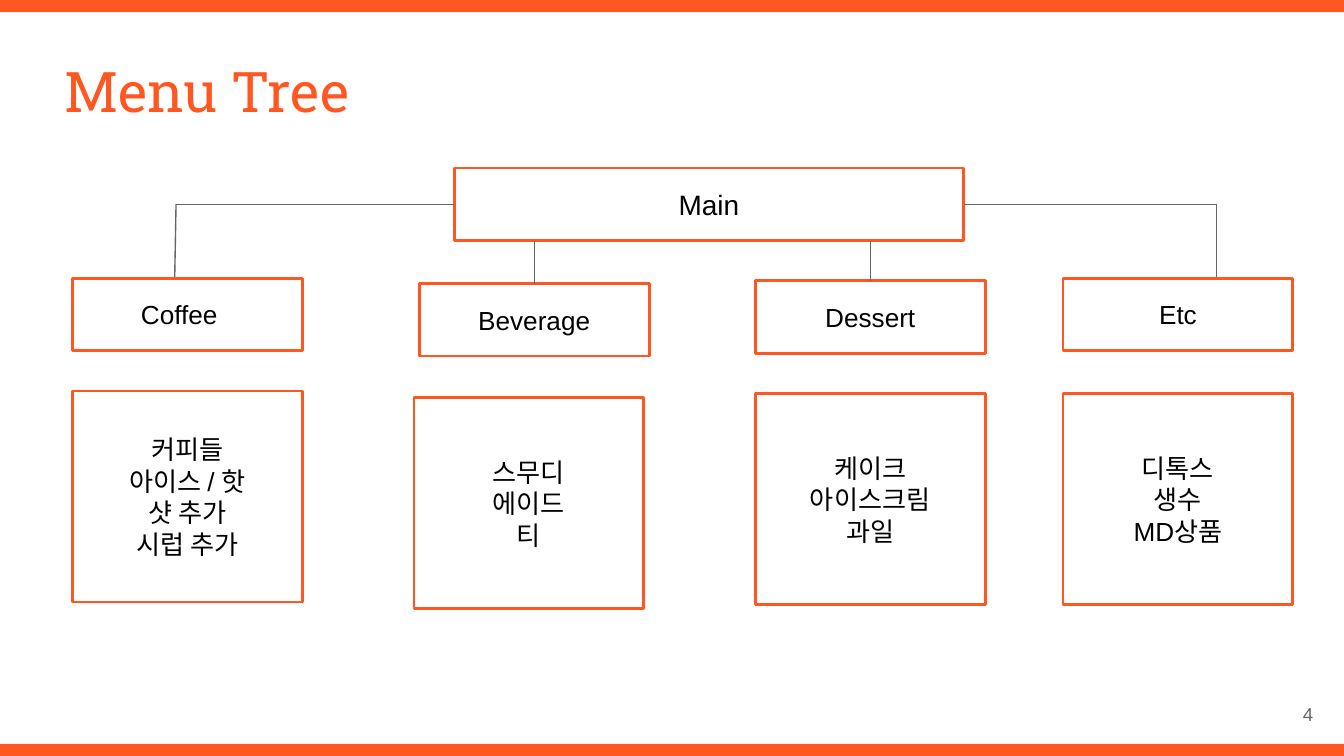
from lxml.etree import SubElement
from pptx import Presentation
from pptx.dml.color import RGBColor
from pptx.enum.shapes import MSO_CONNECTOR, MSO_SHAPE
from pptx.enum.text import MSO_ANCHOR, MSO_AUTO_SIZE, PP_ALIGN
from pptx.oxml.ns import qn
from pptx.util import Inches, Pt

COLORS = {name: RGBColor.from_string(value) for name, value in {
    "accent": "FF5722", "text": "000000", "muted": "666666"}.items()}


def write(shape, lines, size, color, align, anchor=MSO_ANCHOR.MIDDLE, font="Arial"):
    frame = shape.text_frame
    frame.word_wrap = True
    frame.auto_size = MSO_AUTO_SIZE.NONE
    frame.vertical_anchor = anchor
    frame.margin_left = frame.margin_right = Inches(0.1)
    frame.margin_top = frame.margin_bottom = Inches(0.1)
    frame.text = "\n".join(lines)
    for paragraph in frame.paragraphs:
        paragraph.alignment = align
        paragraph.font.name = font
        paragraph.font.size = Pt(size)
        paragraph.font.color.rgb = COLORS[color]


def add_box(left, top, width, height, lines, size=14):
    box = slide.shapes.add_shape(
        MSO_SHAPE.ROUNDED_RECTANGLE,
        Inches(left), Inches(top), Inches(width), Inches(height))
    box.adjustments[0] = 0
    box.shadow.inherit = False
    box.fill.background()
    box.line.color.rgb = COLORS["accent"]
    box.line.width = Pt(1.5)
    write(box, lines, size, "text", PP_ALIGN.CENTER)
    return box


# A 16:9 page
deck = Presentation()
deck.slide_width = Inches(10)
deck.slide_height = deck.slide_width * 9 // 16
slide = deck.slides.add_slide(deck.slide_layouts[5])

# Title
title = slide.shapes.title
title.left, title.top = Inches(0.38), Inches(0.32)
title.width, title.height = Inches(9.32), Inches(0.63)
write(title, ["Menu Tree"], 30, "accent", PP_ALIGN.LEFT, MSO_ANCHOR.TOP, "Roboto Slab")

# Menu boxes: category, its left and top, then the item list's left and top
main_box = add_box(3.38, 1.25, 3.79, 0.54, ["Main"], 15)
menu = [
    ("Coffee", 0.54, 2.07, 0.54, 2.91, ["커피들", "아이스 / 핫", "샷 추가", "시럽 추가"]),
    ("Beverage", 3.12, 2.11, 3.08, 2.96, ["스무디", "에이드", "티"]),
    ("Dessert", 5.62, 2.09, 5.62, 2.93, ["케이크", "아이스크림", "과일"]),
    ("Etc", 7.91, 2.07, 7.91, 2.93, ["디톡스", "생수", "MD상품"]),
]
categories = {}
for name, left, top, items_left, items_top, items in menu:
    categories[name] = add_box(left, top, 1.71, 0.54, [name])
    add_box(items_left, items_top, 1.71, 1.57, items)
categories["Coffee"].text_frame.margin_right = Inches(0.22)

# Bars along the top and bottom edges
bar_height = Inches(0.09)
for top in (0, deck.slide_height - bar_height):
    bar = slide.shapes.add_shape(
        MSO_SHAPE.RECTANGLE, 0, top, deck.slide_width, bar_height)
    bar.shadow.inherit = False
    bar.fill.solid()
    bar.fill.fore_color.rgb = COLORS["accent"]
    bar.line.fill.background()

# Tree lines: start, end, and the (box, side) joined at each end
beverage, dessert = categories["Beverage"], categories["Dessert"]
branches = [
    ((3.38, 1.52), (1.31, 1.52), (main_box, 1), None),
    ((1.31, 1.52), (1.3, 2.06), None, None),
    ((3.975, 1.79), (3.975, 2.11), None, (beverage, 0)),
    ((6.475, 1.79), (6.475, 2.09), None, (dessert, 0)),
    ((7.17, 1.52), (9.05, 1.52), (main_box, 3), None),
    ((9.05, 1.52), (9.05, 2.06), None, None),
]
for start, end, start_join, end_join in branches:
    branch = slide.shapes.add_connector(
        MSO_CONNECTOR.STRAIGHT, *map(Inches, start + end))
    if start_join:
        branch.begin_connect(*start_join)
    if end_join:
        branch.end_connect(*end_join)
    branch.line.color.rgb = COLORS["muted"]
    branch.line.width = Pt(0.75)
    SubElement(branch._element.spPr, qn("a:effectLst"))

# Page number
number = slide.shapes.add_textbox(Inches(9.27), Inches(5.1), Inches(0.6), Inches(0.43))
write(number, ["4"], 10, "muted", PP_ALIGN.RIGHT)

deck.save("out.pptx")
